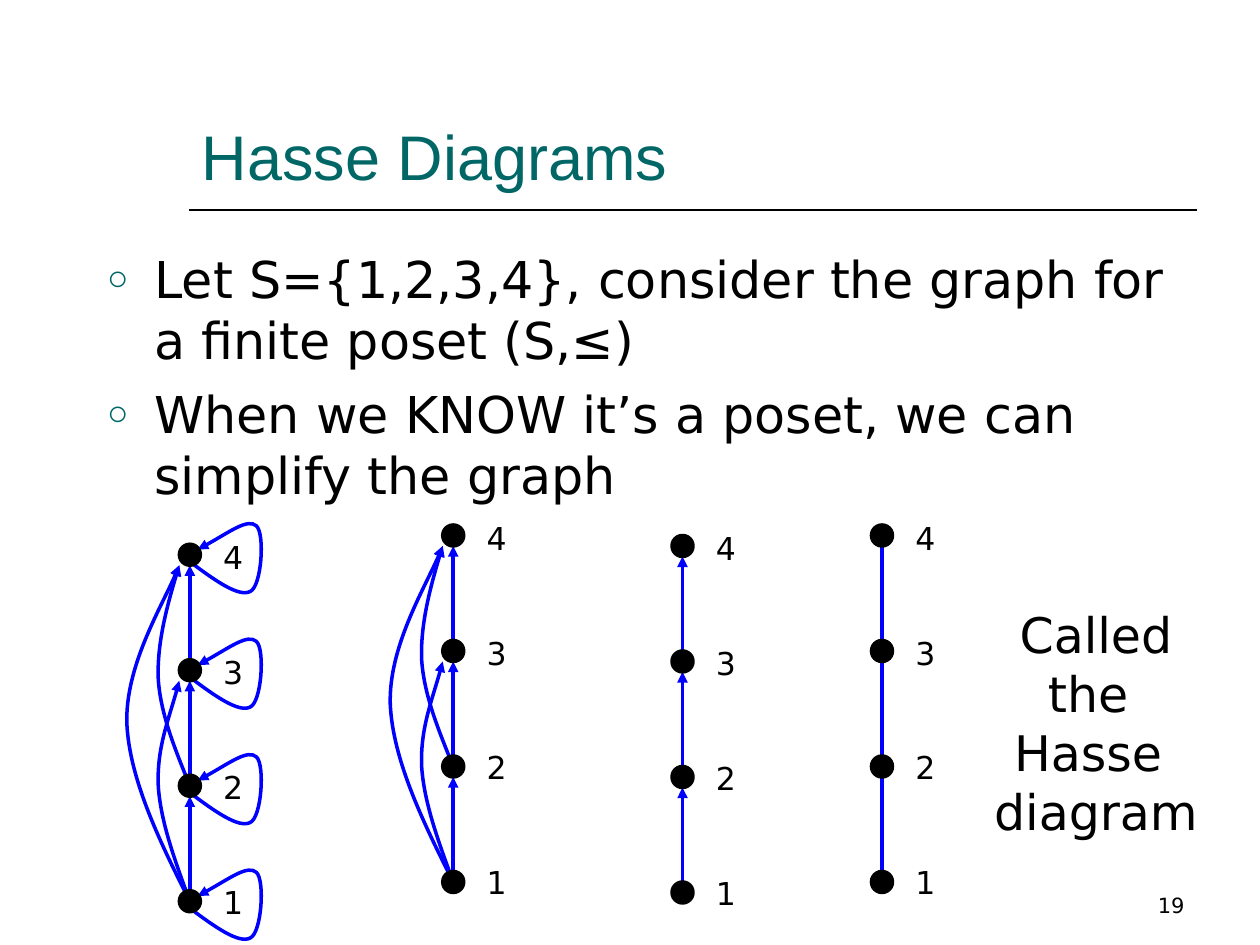
from lxml import etree
from pptx import Presentation
from pptx.dml.color import RGBColor
from pptx.enum import shapes, text
from pptx.oxml.ns import qn
from pptx.util import Pt

TEAL, BLUE, BLACK = "006666", "0000FF", "000000"
BODY_FONT = "DejaVu Sans"
STEP = 66  # distance between neighbouring nodes
RADIUS = 6

# Bezier points measured from the node where each curve starts
ARC_1_3 = [(0, 0), (-8, -22), (-16.5, -44.5), (-18, -65.5),
           (-19, -87), (-11, -106.5), (-6, -126)]
ARC_2_4 = [(0, 0), (-8, -20), (-16.5, -40), (-18, -60.5),
           (-19, -81.5), (-11, -110), (-6, -126)]
ARC_1_4 = [(0, 0), (-17.5, -34.5), (-34.5, -70), (-36, -101.5),
           (-37, -134), (-13, -173.5), (-6, -192)]
SELF_LOOP = [(0, 4), (14, 14.5), (28, 24.5), (34.5, 21), (41, 18),
             (43, -12), (38, -16.5), (33, -21), (20, -11), (4.5, -3)]
ARCS = [(0, ARC_1_3), (1, ARC_2_4), (0, ARC_1_4)]
LOOPS = [(level, SELF_LOOP) for level in range(4)]

# x of the nodes, y of node 1, curves, arrowheads on the straight edges
GRAPHS = [
    (108.5, 515, ARCS + LOOPS, True),
    (259, 504, ARCS, True),
    (390, 510, [], True),
    (504, 504, [], False),
]


def style_line(shape, color, arrow=False):
    """Give a shape or connector a 2 pt line without shadow."""
    shape.line.color.rgb = RGBColor.from_string(color)
    shape.line.width = Pt(2)
    properties = shape._element.spPr
    if arrow:
        etree.SubElement(properties.find(qn("a:ln")), qn("a:tailEnd"), type="triangle")
    etree.SubElement(properties, qn("a:effectLst"))


def write(frame, lines, size, color=BLACK, font=BODY_FONT, **formats):
    """Fill a text frame, one paragraph per line; formats go to each paragraph."""
    frame.word_wrap = True
    frame.auto_size = text.MSO_AUTO_SIZE.NONE
    frame.text = "\n".join(lines)
    for index, para in enumerate(frame.paragraphs):
        for name, value in formats.items():
            setattr(para, name, value)
        if index == 0:
            para.space_before = Pt(0)
        para.font.name = font
        para.font.size = Pt(size)
        para.font.color.rgb = RGBColor.from_string(color)


deck = Presentation()
deck.slide_width, deck.slide_height = Pt(720), Pt(540)
page = deck.slides.add_slide(deck.slide_layouts[1])

# Title with its rule
title = page.shapes.title
title.left, title.top, title.width, title.height = Pt(108), Pt(24), Pt(576), Pt(90)
write(title.text_frame, ["Hasse Diagrams"], 36, TEAL, "Arial",
      alignment=text.PP_ALIGN.LEFT)
title.text_frame.vertical_anchor = text.MSO_ANCHOR.BOTTOM
rule = page.shapes.add_connector(shapes.MSO_CONNECTOR.STRAIGHT,
                                 Pt(108), Pt(120), Pt(684), Pt(120))
style_line(rule, BLACK)
rule.line.width = Pt(1)

# Bulleted list
body = page.placeholders[1]
body.left, body.top, body.width, body.height = Pt(54), Pt(138), Pt(636), Pt(378)
write(body.text_frame,
      ["Let S={1,2,3,4}, consider the graph for a finite poset (S,≤)",
       "When we KNOW it’s a poset, we can simplify the graph"],
      29, space_before=Pt(7.3))
for para in body.text_frame.paragraphs:
    properties = para._p.get_or_add_pPr()
    properties.set("marL", str(Pt(27)))
    properties.set("indent", str(-Pt(27)))
    bullet_color = etree.Element(qn("a:buClr"))
    etree.SubElement(bullet_color, qn("a:srgbClr"), val=TEAL)
    bullet_size = etree.Element(qn("a:buSzPct"), val="70000")
    bullet = etree.Element(qn("a:buChar"), char="○")
    for item in (bullet_color, bullet_size, bullet):
        properties.find(qn("a:defRPr")).addprevious(item)

# Four stages of the graph
for x, bottom, curves, arrows in GRAPHS:
    graph = page.shapes.add_group_shape().shapes
    levels = [bottom - STEP * level for level in range(4)]

    labels = graph.add_textbox(Pt(x + 12), Pt(bottom - 222), Pt(24.5), Pt(234))
    write(labels.text_frame, "4321", 18, alignment=text.PP_ALIGN.CENTER,
          line_spacing=1.5, space_before=Pt(33.3))

    for lower, upper in zip(levels, levels[1:]):
        edge = graph.add_connector(shapes.MSO_CONNECTOR.STRAIGHT,
                                   Pt(x), Pt(lower), Pt(x), Pt(upper + RADIUS))
        style_line(edge, BLUE, arrows)

    for level, offsets in curves:
        points = [(Pt(x + dx), Pt(levels[level] + dy)) for dx, dy in offsets]
        builder = graph.build_freeform(*points[0])
        builder.add_line_segments(points[1:], close=False)
        curve = builder.convert_to_shape()
        curve.fill.background()
        style_line(curve, BLUE, True)
        # every three straight segments become one cubic Bezier segment
        segments = list(curve._element.iter(qn("a:lnTo")))
        for start in range(0, len(segments), 3):
            bezier = etree.Element(qn("a:cubicBezTo"))
            segments[start].addprevious(bezier)
            for segment in segments[start:start + 3]:
                bezier.append(segment[0])
                segment.getparent().remove(segment)

    for y in levels:
        node = graph.add_shape(shapes.MSO_SHAPE.OVAL, Pt(x - RADIUS), Pt(y - RADIUS),
                               Pt(2 * RADIUS), Pt(2 * RADIUS))
        node.fill.solid()
        node.fill.fore_color.rgb = RGBColor.from_string(BLACK)
        style_line(node, BLACK)

caption = page.shapes.add_textbox(Pt(550), Pt(342), Pt(152.5), Pt(108))
write(caption.text_frame, ["Called the ", "Hasse ", "diagram"], 28,
      alignment=text.PP_ALIGN.CENTER)

number = page.shapes.add_textbox(Pt(516), Pt(492), Pt(168), Pt(36))
write(number.text_frame, ["19"], 12, alignment=text.PP_ALIGN.RIGHT)
number.text_frame.vertical_anchor = text.MSO_ANCHOR.BOTTOM

deck.save("out.pptx")
